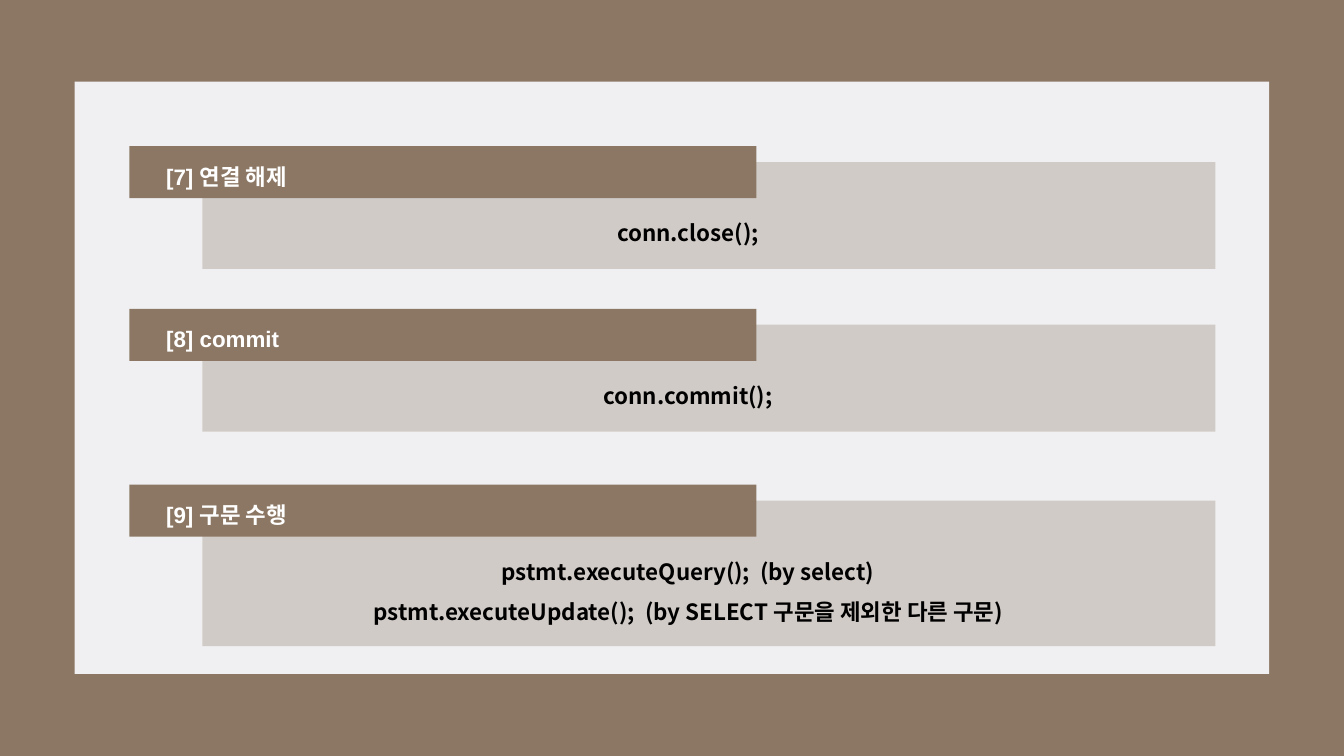
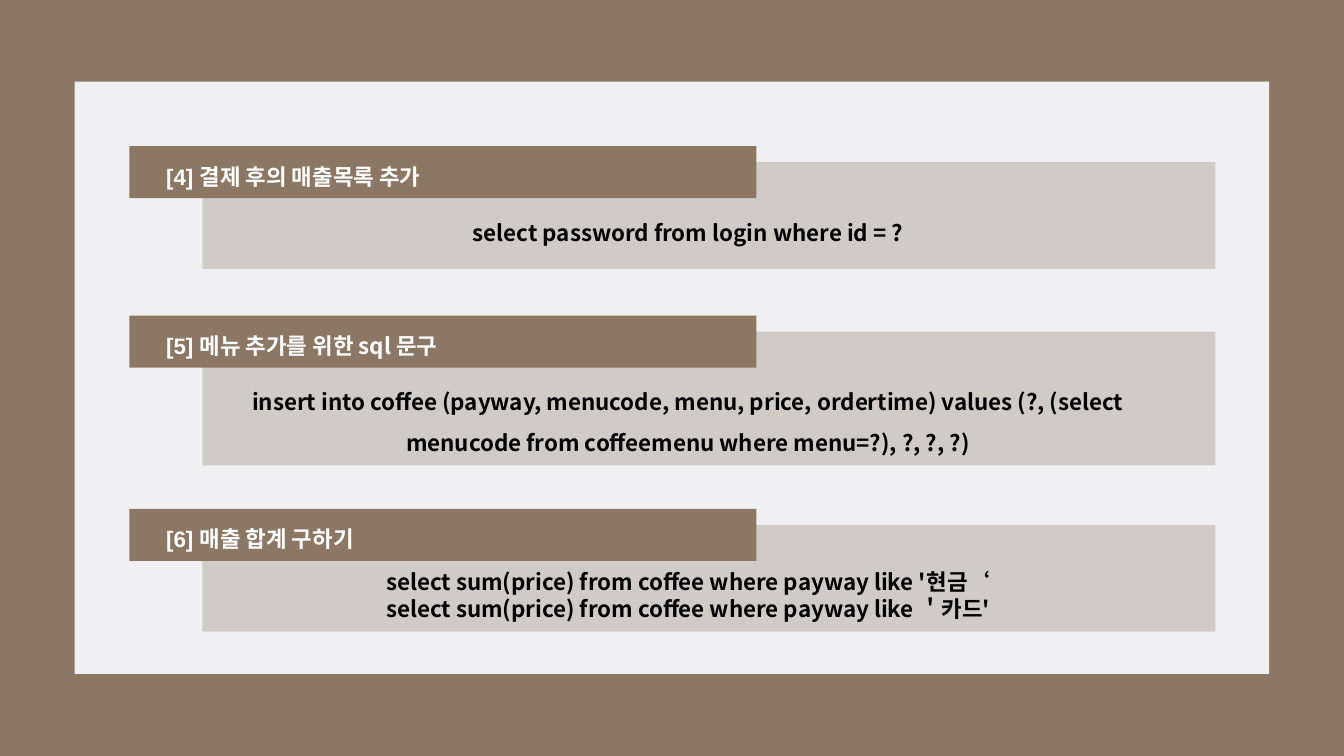
from lxml.etree import SubElement
from pptx import Presentation
from pptx.dml.color import RGBColor as RGB
from pptx.enum.shapes import MSO_SHAPE as Shape
from pptx.enum.text import MSO_AUTO_SIZE as AutoSize, PP_ALIGN as Align
from pptx.oxml.ns import qn
from pptx.util import Pt

COLORS = {"brown": "8C7764", "panel": "F0F0F2", "white": "FFFFFF", "black": "000000"}
LATIN, KOREAN = "Arial", "Noto Sans CJK KR"
TEXT_SIZE = 16

SLIDES = [
    [
        (104.4, 76.3, "[7] ", "연결 해제", ["conn.close();"], 1.5),
        (220.6, 76.3, "[8] commit", "", ["conn.commit();"], 1.5),
        (346.2, 103.9, "[9] ", "구문 수행",
         ["pstmt.executeQuery();  (by select)",
          "pstmt.executeUpdate();  (by SELECT 구문을 제외한 다른 구문)"], 1.5),
    ],
    [
        (104.4, 76.3, "[4] ", "결제 후의 매출목록 추가",
         ["select password from login where id = ?"], 1.5),
        (225.4, 95.6, "[5] ", "메뉴 추가를 위한 sql 문구",
         ["insert into coffee (payway, menucode, menu, price, ordertime) values "
          "(?, (select menucode from coffeemenu where menu=?), ?, ?, ?)"], 1.5),
        (363.5, 76.3, "[6] ", "매출 합계 구하기",
         ["select sum(price) from coffee where payway like '현금‘",
          "select sum(price) from coffee where payway like ＇카드'"], 1),
    ],
]


def rgb(name):
    return RGB.from_string(COLORS[name])


def add_rect(s, x, y, w, h, color, opacity=100):
    sp = s.shapes.add_shape(Shape.RECTANGLE, Pt(x), Pt(y), Pt(w), Pt(h))
    sp.shadow.inherit = False
    sp.fill.solid()
    sp.fill.fore_color.rgb = rgb(color)
    sp.line.fill.background()
    if opacity < 100:
        clr = next(sp._element.iter(qn("a:srgbClr")))
        SubElement(clr, qn("a:alpha")).set("val", str(opacity * 1000))


def add_text(s, x, y, w, h, lines, color, align, spacing):
    tf = s.shapes.add_textbox(Pt(x), Pt(y), Pt(w), Pt(h)).text_frame
    tf.word_wrap = True
    tf.auto_size = AutoSize.SHAPE_TO_FIT_TEXT
    for i, runs in enumerate(lines):
        p = tf.add_paragraph() if i else tf.paragraphs[0]
        p.alignment = align
        p.line_spacing = float(spacing)
        for text, font in runs:
            r = p.add_run()
            r.text = text
            r.font.name = font
            r.font.size = Pt(TEXT_SIZE)
            r.font.bold = True
            r.font.color.rgb = rgb(color)
            SubElement(r.font._element, qn("a:ea")).set("typeface", KOREAN)


def add_section(s, top, height, number, title, code, spacing):
    add_rect(s, 92.4, top, 448, 37.2, "brown")
    add_rect(s, 144.6, top + 11.4, 723.6, height, "brown", 30)
    code_height = 32.4 if len(code) == 1 else 62
    add_text(s, 157, top + 39, 669, code_height,
             [[(line, KOREAN)] for line in code], "black", Align.CENTER, spacing)
    heading = [(number, LATIN)]
    if title:
        heading.append((title, KOREAN))
    add_text(s, 111.6, top - 1.3, 377.3, 36, [heading], "white", Align.LEFT, 1.5)


def add_slide(prs, sections):
    s = prs.slides.add_slide(prs.slide_layouts[6])
    add_rect(s, 53.3, 58.3, 853.2, 423, "panel")
    for section in sections:
        add_section(s, *section)


def main():
    prs = Presentation()
    prs.slide_width, prs.slide_height = Pt(960), Pt(540)
    fill = prs.slide_master.background.fill
    fill.solid()
    fill.fore_color.rgb = rgb("brown")
    for sections in SLIDES:
        add_slide(prs, sections)
    prs.save("out.pptx")


if __name__ == "__main__":
    main()
